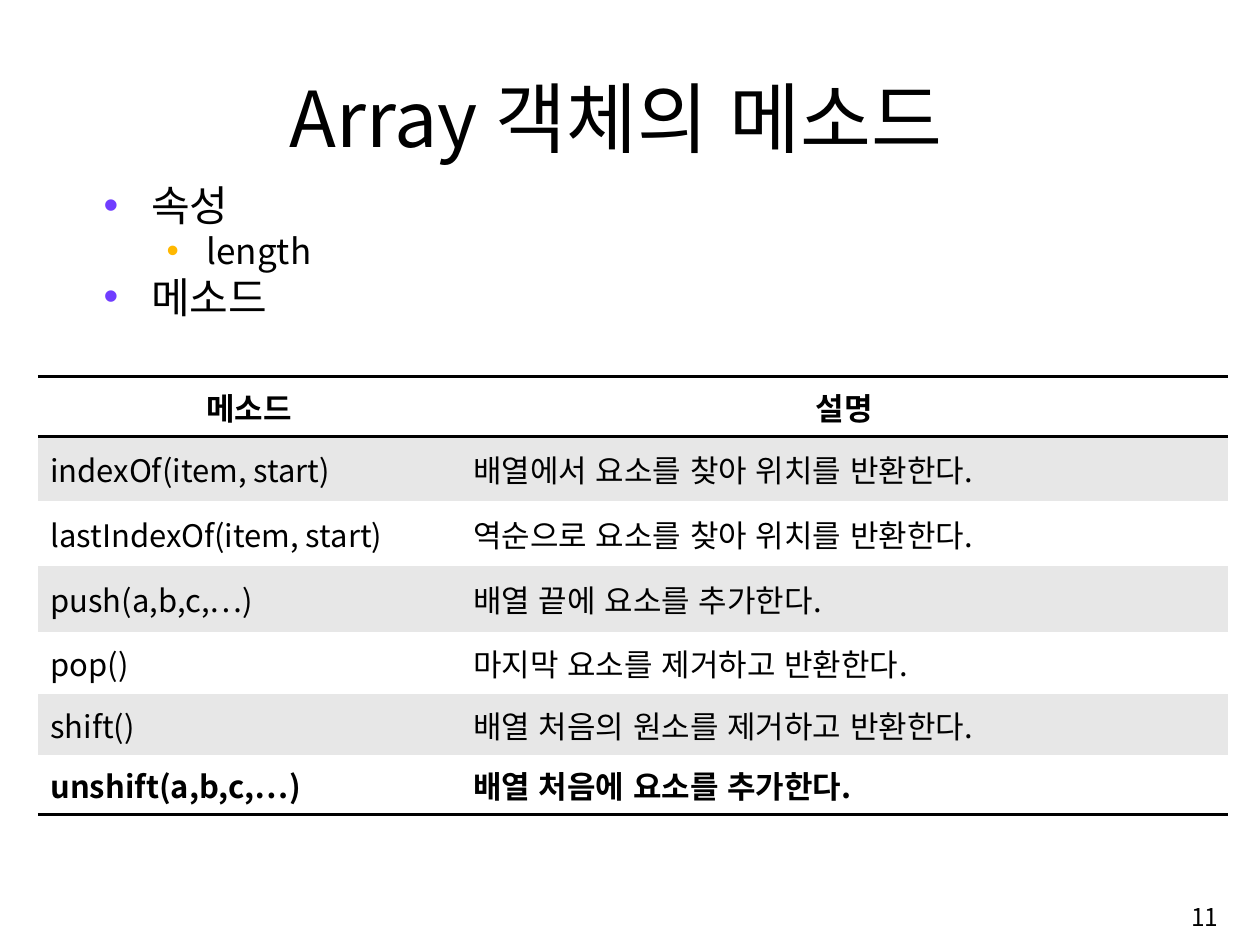
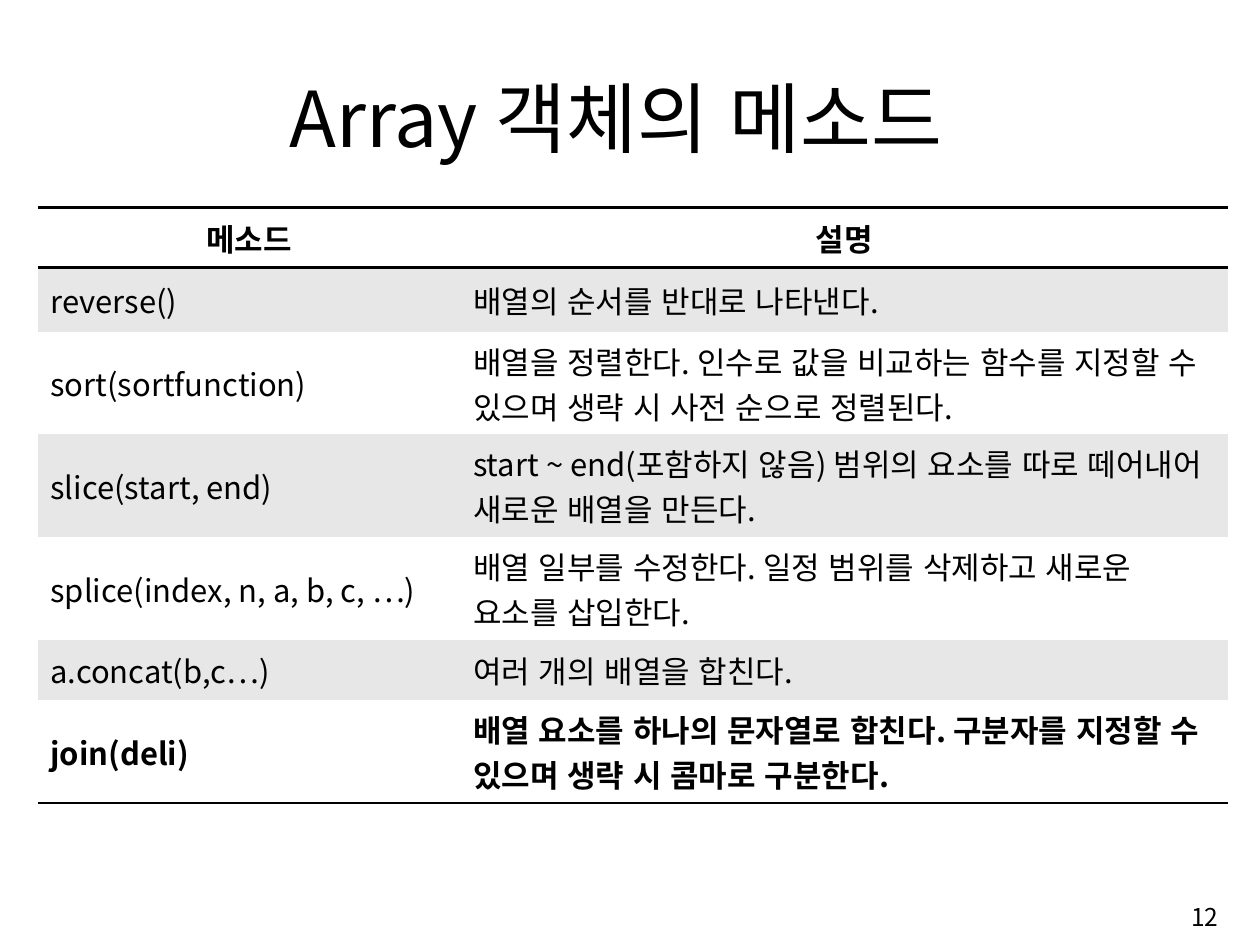
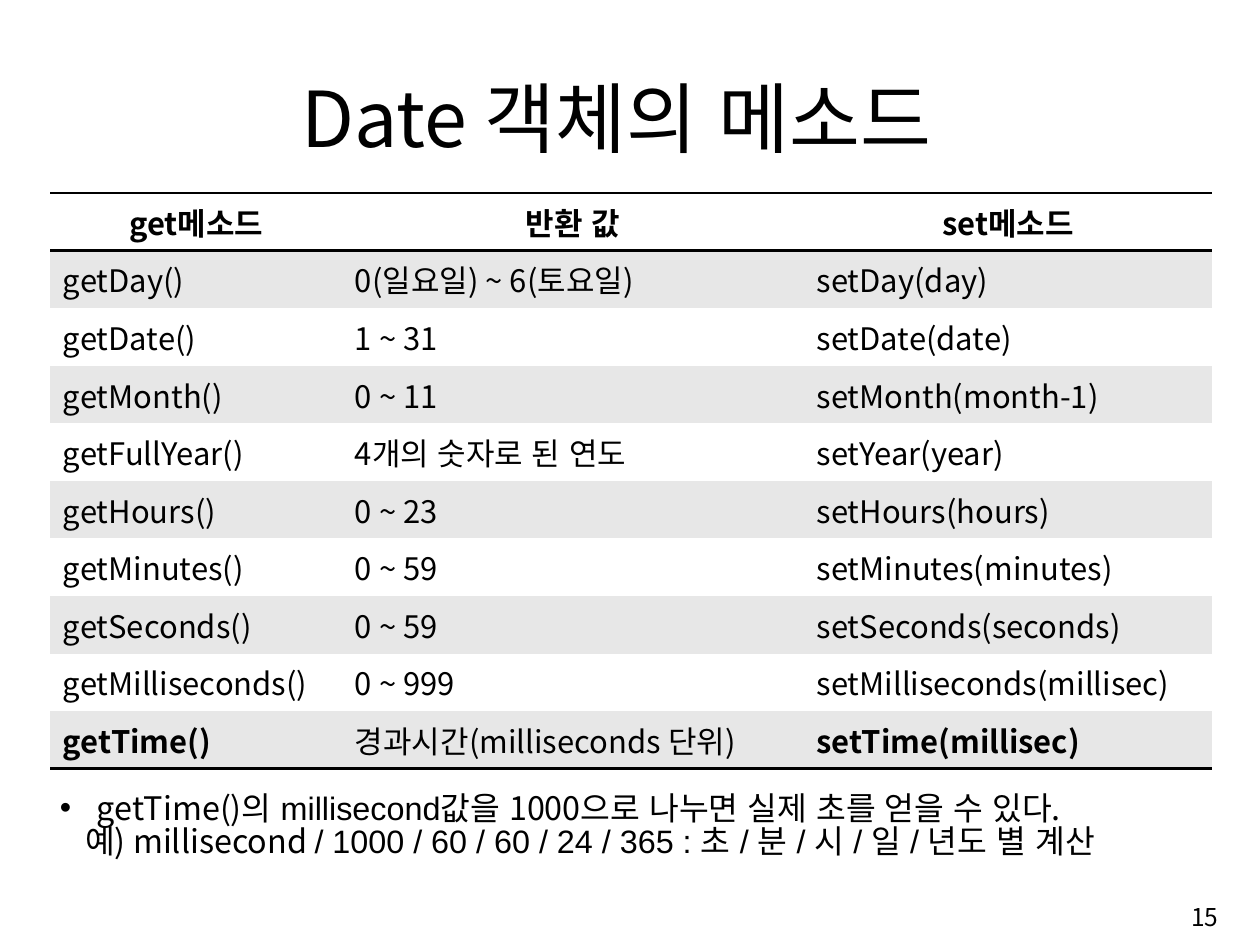
from lxml import etree
from pptx import Presentation
from pptx.dml.color import RGBColor
from pptx.enum.lang import MSO_LANGUAGE_ID
from pptx.enum.text import MSO_ANCHOR, PP_ALIGN
from pptx.oxml.ns import qn
from pptx.util import Inches, Pt

LEFT, CENTER, RIGHT = PP_ALIGN.LEFT, PP_ALIGN.CENTER, PP_ALIGN.RIGHT
TOP, MIDDLE, BOTTOM = MSO_ANCHOR.TOP, MSO_ANCHOR.MIDDLE, MSO_ANCHOR.BOTTOM
KOREAN = MSO_LANGUAGE_ID.KOREAN

COLORS = {"ink": "000000", "paper": "FFFFFF", "band": "E7E7E7",
          "bullet1": "703DFF", "bullet2": "FFB800"}
SANS, ARIAL = "Noto Sans CJK KR", "Arial"
NO_GRID = "{2D5ABB26-0587-4C30-8999-92F81FD0307C}"

prs = Presentation()
prs.slide_width, prs.slide_height = Inches(12.99), Inches(9.74)

# Grid of 100 columns by 75 rows
COL, ROW = prs.slide_width / 100, prs.slide_height / 75


def add_text(s, box, paragraphs, size, align=LEFT, anchor=TOP, spacing=None):
    """Add a text box; each paragraph is a list of (text, font) runs."""
    x, y, w, h = box
    tf = s.shapes.add_textbox(int(x * COL), int(y * ROW), int(w * COL), int(h * ROW)).text_frame
    tf.word_wrap, tf.vertical_anchor = True, anchor
    for i, runs in enumerate(paragraphs):
        p = tf.paragraphs[0] if i == 0 else tf.add_paragraph()
        p.alignment, p.line_spacing = align, spacing
        for text, font in runs:
            r = p.add_run()
            r.text = text
            format_run(r, size, font)
    return tf


def format_run(r, size, font=SANS, bold=False):
    r.font.size, r.font.bold, r.font.name = Pt(size), bold, font
    r.font.language_id = KOREAN
    r.font.color.rgb = RGBColor.from_string(COLORS["ink"])
    etree.SubElement(r.font._element, qn("a:ea"), typeface=SANS)


METHOD_COLS = [33.56, 60.89]
SLIDES = [
    {"title": "Array 객체의 메소드", "number": "11", "at": (3, 29.88), "cols": METHOD_COLS,
     "heights": [4.77, 5.08, 5.23, 5.23, 4.93, 4.77, 4.77], "bold": [0, 1],
     "rows": [
         ["메소드", "설명"],
         ["indexOf(item, start)", "배열에서 요소를 찾아 위치를 반환한다."],
         ["lastIndexOf(item, start)", "역순으로 요소를 찾아 위치를 반환한다."],
         ["push(a,b,c,…)", "배열 끝에 요소를 추가한다."],
         ["pop()", "마지막 요소를 제거하고 반환한다."],
         ["shift()", "배열 처음의 원소를 제거하고 반환한다."],
         ["unshift(a,b,c,…)", "배열 처음에 요소를 추가한다."]],
     "outline": [("속성", 0), ("length", 1), ("메소드", 0)]},
    {"title": "Array 객체의 메소드", "number": "12", "at": (3, 16.47), "cols": METHOD_COLS,
     "heights": [4.77, 5.08, 8.16, 8.16, 8.16, 4.77, 8.16], "bold": [0, 1],
     "rows": [
         ["메소드", "설명"],
         ["reverse()", "배열의 순서를 반대로 나타낸다."],
         ["sort(sortfunction)",
          "배열을 정렬한다. 인수로 값을 비교하는 함수를 지정할 수 있으며 생략 시 사전 순으로 정렬된다."],
         ["slice(start, end)",
          "start ~ end(포함하지 않음) 범위의 요소를 따로 떼어내어 새로운 배열을 만든다."],
         ["splice(index, n, a, b, c, …)",
          "배열 일부를 수정한다. 일정 범위를 삭제하고 새로운 요소를 삽입한다."],
         ["a.concat(b,c…)", "여러 개의 배열을 합친다."],
         ["join(deli)",
          "배열 요소를 하나의 문자열로 합친다. 구분자를 지정할 수 있으며 생략 시 콤마로 구분한다."]]},
    {"title": "Date 객체의 메소드", "number": "15", "at": (4, 15.32),
     "cols": [23.17, 36.64, 32.41], "heights": [4.57] * 10, "bold": [0, 2],
     "rows": [
         ["get메소드", "반환 값", "set메소드"],
         ["getDay()", "0(일요일) ~ 6(토요일)", "setDay(day)"],
         ["getDate()", "1 ~ 31", "setDate(date)"],
         ["getMonth()", "0 ~ 11", "setMonth(month-1)"],
         ["getFullYear()", "4개의 숫자로 된 연도", "setYear(year)"],
         ["getHours()", "0 ~ 23", "setHours(hours)"],
         ["getMinutes()", "0 ~ 59", "setMinutes(minutes)"],
         ["getSeconds()", "0 ~ 59", "setSeconds(seconds)"],
         ["getMilliseconds()", "0 ~ 999", "setMilliseconds(millisec)"],
         ["getTime()", "경과시간(milliseconds 단위)", "setTime(millisec)"]],
     "note": [
         [("getTime()의 ", SANS), ("millisecond", ARIAL),
          ("값을 1000으로 나누면 실제 초를 얻을 수 있다.", SANS)],
         [("예) millisecond ", SANS),
          ("/ 1000 / 60 / 60 / 24 / 365 : 초 / 분 / 시 / 일 / 년도 별 계산", ARIAL)]]},
]

# Outline levels: size, left margin, hanging indent, space before, bullet colour
LEVELS = [(31.2, 3.77, 3.77, 6, "bullet1"), (26, 8.16, 3.16, 5, "bullet2")]

for data in SLIDES:
    s = prs.slides.add_slide(prs.slide_layouts[6])
    bullets = []  # paragraph, left margin, hanging indent, colour

    # Title and page number
    tf = add_text(s, (8.08, 4.7, 81.68, 8.31), [[(data["title"], SANS)]], 57.2, CENTER, BOTTOM, 0.9)
    tf.margin_top = tf.margin_bottom = 0
    add_text(s, (76.83, 70.46, 20.63, 4.62), [[(data["number"], SANS)]], 18.2, RIGHT, MIDDLE)

    # Bulleted outline
    if "outline" in data:
        lines = [[(text, SANS)] for text, level in data["outline"]]
        tf = add_text(s, (7.47, 14.55, 89.84, 52.75), lines, LEVELS[0][0], spacing=0.83)
        for p, (text, level) in zip(tf.paragraphs, data["outline"]):
            size, margin, hang, before, color = LEVELS[level]
            p.level, p.space_before = level, Pt(before)
            p.runs[0].font.size = Pt(size)
            bullets.append((p, margin, hang, color))

    # Method table
    x, y = data["at"]
    rows, cols, heights = data["rows"], data["cols"], data["heights"]
    frame = s.shapes.add_table(len(rows), len(cols), int(x * COL), int(y * ROW),
                               int(sum(cols) * COL), int(sum(heights) * ROW))
    frame.element.find(".//" + qn("a:tableStyleId")).text = NO_GRID
    table = frame.table
    table.horz_banding = False
    for column, width in zip(table.columns, cols):
        column.width = int(width * COL)
    for i, (row, height) in enumerate(zip(rows, heights)):
        table.rows[i].height = int(height * ROW)
        header, last = i == 0, i == len(rows) - 1
        for j, text in enumerate(row):
            cell = table.cell(i, j)
            cell.margin_left = cell.margin_right = int(COL)
            cell.margin_top = cell.margin_bottom = int(ROW / 2)
            cell.vertical_anchor = MIDDLE
            for side, ruled in (("a:lnT", header), ("a:lnB", header or last)):
                if ruled:
                    ln = etree.SubElement(cell._tc.get_or_add_tcPr(), qn(side), w=str(Pt(2)))
                    fill = etree.SubElement(ln, qn("a:solidFill"))
                    etree.SubElement(fill, qn("a:srgbClr"), val=COLORS["ink"])
            cell.fill.solid()
            cell.fill.fore_color.rgb = RGBColor.from_string(COLORS["band" if i % 2 else "paper"])
            p = cell.text_frame.paragraphs[0]
            p.text = text
            p.alignment = CENTER if header else LEFT
            format_run(p.runs[0], 23, bold=header or (last and j in data["bold"]))

    # Note under the table
    if "note" in data:
        tf = add_text(s, (4, 62.13, 92.15, 7), data["note"], 24, anchor=MIDDLE, spacing=0.85)
        first, second = tf.paragraphs
        bullets.append((first, 2.93, 2.93, "ink"))
        second._p.get_or_add_pPr().set("marL", str(int(2 * COL)))

    # Bullets and hanging indents
    for p, margin, hang, color in bullets:
        pPr = p._p.get_or_add_pPr()
        pPr.set("marL", str(int(margin * COL)))
        pPr.set("indent", str(int(-hang * COL)))
        bu = etree.SubElement(pPr, qn("a:buClr"))
        etree.SubElement(bu, qn("a:srgbClr"), val=COLORS[color])
        etree.SubElement(pPr, qn("a:buFont"), typeface=ARIAL)
        etree.SubElement(pPr, qn("a:buChar"), char="•")

prs.save("out.pptx")
